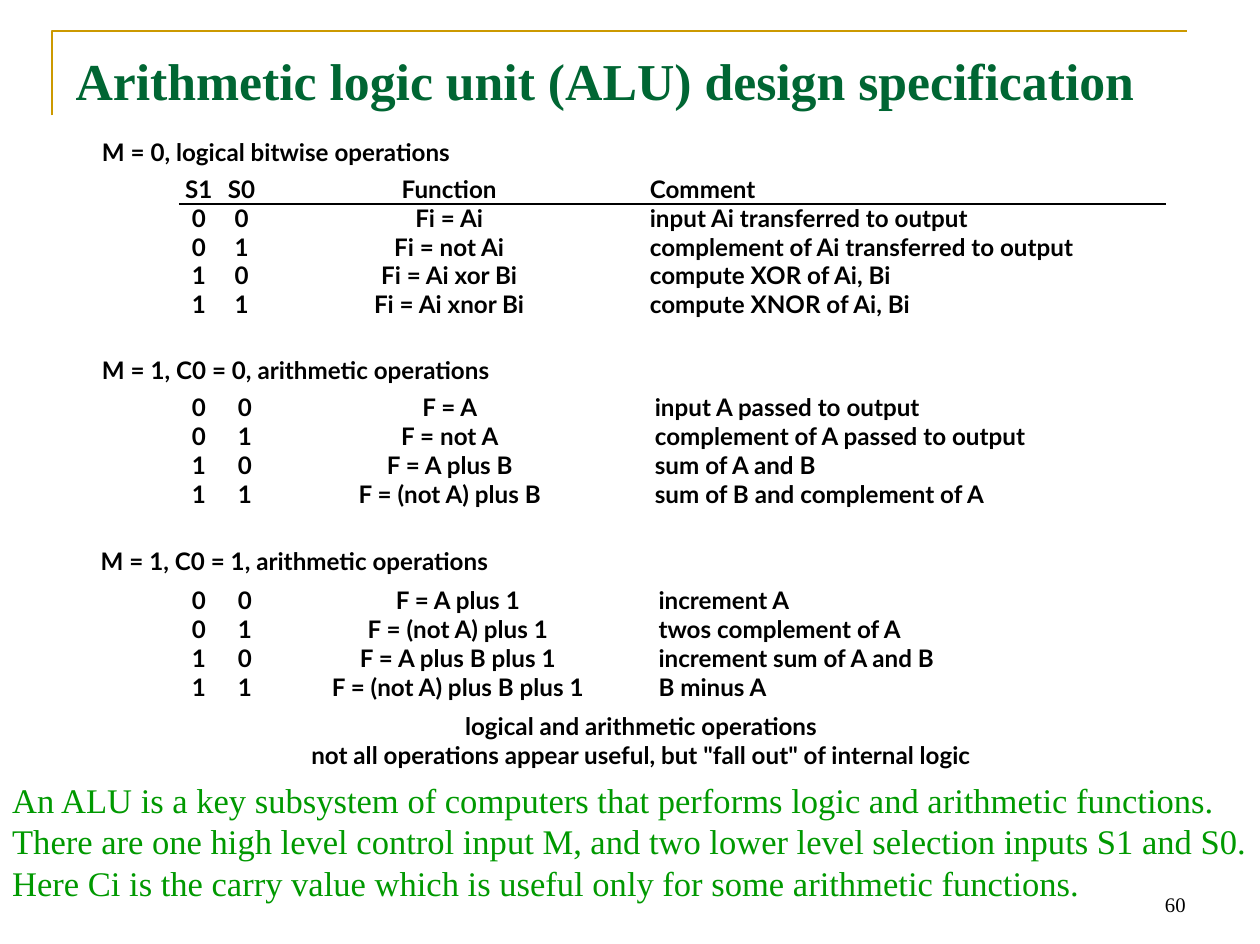
import pptx
import pptx.util
import pptx.dml.color
import pptx.enum.shapes
import pptx.enum.text
import lxml.etree
from pptx.util import Inches

ALIGN = pptx.enum.text.PP_ALIGN
ANCHOR = pptx.enum.text.MSO_ANCHOR

# Content
TITLE = "Arithmetic logic unit (ALU) design specification"
SUMMARY = (
    "An ALU is a key subsystem of computers that performs logic and arithmetic functions. "
    "There are one high level control input M, and two lower level selection inputs S1 and S0. "
    "Here Ci is the carry value which is useful only for some arithmetic functions."
)
PAGE_NUMBER = "60"
REMARKS = [
    "logical and arithmetic operations",
    'not all operations appear useful, but "fall out" of internal logic',
]
SELECTIONS = [("0", "0"), ("0", "1"), ("1", "0"), ("1", "1")]
# Each group: heading, heading place, top of rows, column (left, width) pairs,
# column names if any, then (function, comment) for every selection
GROUPS = [
    {
        "heading": "M = 0, logical bitwise operations",
        "place": (0.8, 1.08),
        "top": 1.37,
        "columns": [(1.4, 0.4), (1.73, 0.43), (2.91, 1.41), (5.21, 3.58)],
        "names": [("S1", "S0", "Function", "Comment")],
        "operations": [
            ("Fi = Ai", "input Ai transferred to output"),
            ("Fi = not Ai", "complement of Ai transferred to output"),
            ("Fi = Ai xor Bi", "compute XOR of Ai, Bi"),
            ("Fi = Ai xnor Bi", "compute XNOR of Ai, Bi"),
        ],
    },
    {
        "heading": "M = 1, C0 = 0, arithmetic operations",
        "place": (0.8, 2.83),
        "top": 3.13,
        "columns": [(1.46, 0.28), (1.83, 0.28), (2.76, 1.72), (5.25, 3.22)],
        "names": [],
        "operations": [
            ("F = A", "input A passed to output"),
            ("F = not A", "complement of A passed to output"),
            ("F = A plus B", "sum of A and B"),
            ("F = (not A) plus B", "sum of B and complement of A"),
        ],
    },
    {
        "heading": "M = 1, C0 = 1, arithmetic operations",
        "place": (0.79, 4.37),
        "top": 4.68,
        "columns": [(1.46, 0.28), (1.83, 0.28), (2.53, 2.31), (5.28, 2.46)],
        "names": [],
        "operations": [
            ("F = A plus 1", "increment A"),
            ("F = (not A) plus 1", "twos complement of A"),
            ("F = A plus B plus 1", "increment sum of A and B"),
            ("F = (not A) plus B plus 1", "B minus A"),
        ],
    },
]
COLUMN_ALIGNS = [ALIGN.CENTER, ALIGN.CENTER, ALIGN.CENTER, ALIGN.LEFT]

# Theme: text styles are (font, size, colour, bold)
THEME = {
    "title": ("Times New Roman", 30, "006633", True),
    "summary": ("Times New Roman", 20, "009900", False),
    "number": ("Times New Roman", 12, "000000", False),
    "body": ("Lato", 14, "000000", True),
    "frame": "CC9900",
    "rule": "000000",
    "paper": "FFFFFF",
}
TIGHT = (0.02, 0.03, 0.02, 0.03)
ROW_HEIGHT = 0.22
HEADING_SIZE = (3.39, 0.33)

presentation = pptx.Presentation()
presentation.slide_width = Inches(10.14)
presentation.slide_height = Inches(7.6)
slide = presentation.slides.add_slide(presentation.slide_layouts[6])


def color(name):
    return pptx.dml.color.RGBColor.from_string(name)


def write(shape, lines, style, align=ALIGN.LEFT, insets=TIGHT, anchor=ANCHOR.TOP):
    font_name, size, font_color, bold = THEME[style]
    frame = shape.text_frame
    frame.text = "\n".join(lines)
    frame.word_wrap = True
    frame.vertical_anchor = anchor
    frame.margin_left, frame.margin_top, frame.margin_right, frame.margin_bottom = map(Inches, insets)
    for paragraph in frame.paragraphs:
        paragraph.alignment = align
        for run in paragraph.runs:
            run.font.name = font_name
            run.font.size = pptx.util.Pt(size)
            run.font.bold = bold
            run.font.color.rgb = color(font_color)


def add_text(box, *text, **options):
    write(slide.shapes.add_textbox(*map(Inches, box)), *text, **options)


# Corner frame
builder = slide.shapes.build_freeform(Inches(0.42), Inches(0.93))
builder.add_line_segments([(Inches(0.42), Inches(0.25)), (Inches(9.55), Inches(0.25))], close=False)
corner = builder.convert_to_shape()
corner.shadow.inherit = False
corner.fill.background()
corner.line.color.rgb = color(THEME["frame"])
corner.line.width = pptx.util.Pt(1.5)

# Summary band and page number
band = slide.shapes.add_shape(
    pptx.enum.shapes.MSO_SHAPE.RECTANGLE, Inches(0), Inches(6.22), Inches(10.14), Inches(1.1)
)
band.shadow.inherit = False
band.fill.solid()
band.fill.fore_color.rgb = color(THEME["paper"])
band.line.fill.background()
write(band, [SUMMARY], "summary", insets=(0.1, 0.05, 0.05, 0.05))
band.text_frame.paragraphs[0].line_spacing = pptx.util.Pt(24)
add_text((7.27, 6.92, 2.37, 0.51), [PAGE_NUMBER], "number", align=ALIGN.RIGHT,
         insets=(0.1, 0.05, 0.1, 0.05), anchor=ANCHOR.BOTTOM)

# Closing remarks
add_text((0.97, 5.7, 8.38, 0.61), REMARKS, "body", align=ALIGN.CENTER)

# Operation groups
for group in GROUPS:
    add_text((*group["place"], *HEADING_SIZE), [group["heading"]], "body")
    rows = group["names"] + [
        selection + operation for selection, operation in zip(SELECTIONS, group["operations"])
    ]
    for (left, width), lines, align in zip(group["columns"], zip(*rows), COLUMN_ALIGNS):
        add_text((left, group["top"], width, ROW_HEIGHT * len(rows)), lines, "body", align=align)

# Rule under the column names
rule = slide.shapes.add_connector(
    pptx.enum.shapes.MSO_CONNECTOR.STRAIGHT, Inches(1.44), Inches(1.64), Inches(9.38), Inches(1.64)
)
rule.line.color.rgb = color(THEME["rule"])
rule.line.width = pptx.util.Pt(1)
lxml.etree.SubElement(
    rule.element.spPr, "{http://schemas.openxmlformats.org/drawingml/2006/main}effectLst"
)

# Title
add_text((0.51, 0.31, 9.63, 0.52), [TITLE], "title", insets=(0.1, 0.08, 0.1, 0.05))

presentation.save("out.pptx")
